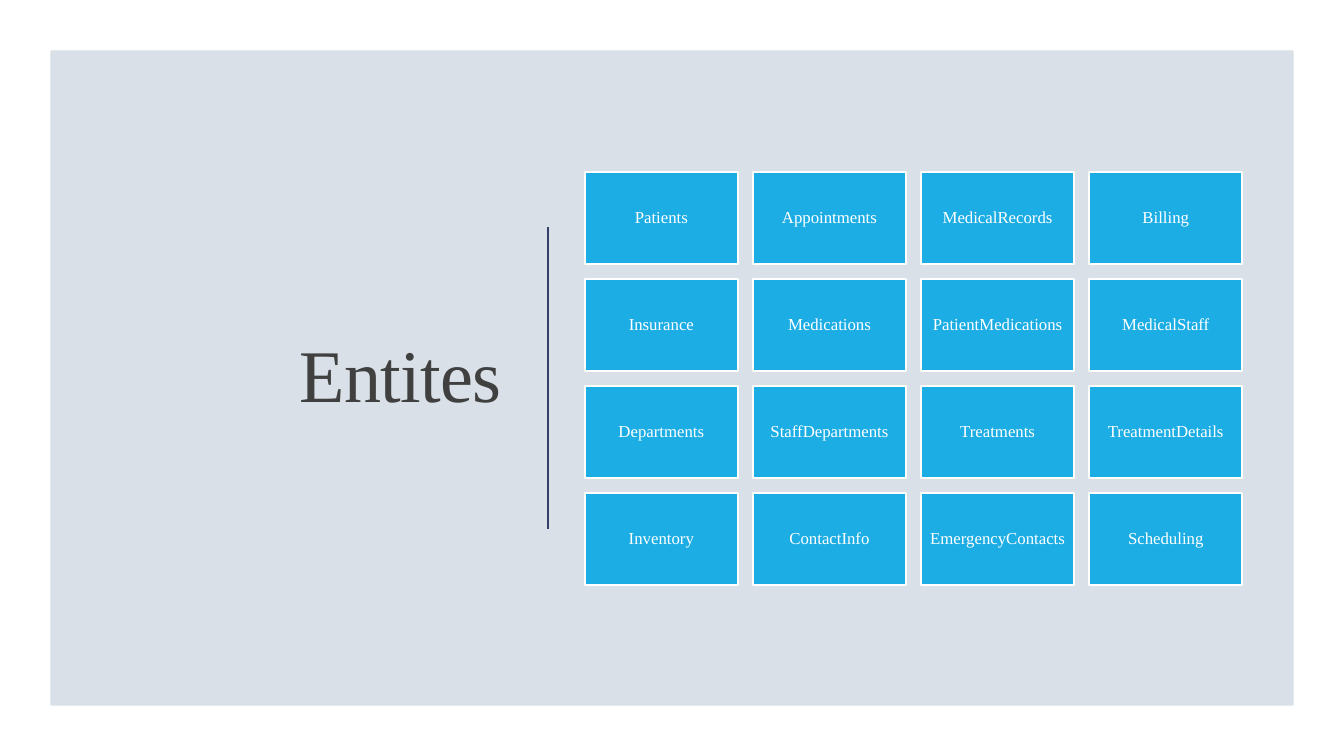
from itertools import product

from lxml.etree import SubElement
from pptx import Presentation
from pptx.dml.color import RGBColor
from pptx.enum.shapes import MSO_CONNECTOR as Connector, MSO_SHAPE as Shape
from pptx.enum.text import MSO_ANCHOR as Anchor, MSO_AUTO_SIZE as AutoSize, PP_ALIGN as Align
from pptx.oxml.ns import qn
from pptx.util import Pt

WIDTH, HEIGHT = 960, 540
ENTITIES = [
    ["Patients", "Appointments", "MedicalRecords", "Billing"],
    ["Insurance", "Medications", "PatientMedications", "MedicalStaff"],
    ["Departments", "StaffDepartments", "Treatments", "TreatmentDetails"],
    ["Inventory", "ContactInfo", "EmergencyContacts", "Scheduling"],
]


def paint(color_format, hex_color):
    color_format.rgb = RGBColor.from_string(hex_color)


class EntitySlide:
    font_name = "Times New Roman"
    white, mist, blue = "FFFFFF", "D9E0E7", "1CADE4"
    navy, charcoal = "344068", "404040"

    def __init__(self, slide):
        self.slide = slide
        self.shapes = slide.shapes
        self.fill(slide.background.fill, self.mist)

    def fill(self, fill_format, color):
        fill_format.solid()
        paint(fill_format.fore_color, color)

    def label(self, shape, text, size, color, align):
        frame = shape.text_frame
        frame.text = text
        frame.word_wrap = True
        frame.auto_size = AutoSize.NONE
        frame.vertical_anchor = Anchor.MIDDLE
        paragraph = frame.paragraphs[0]
        paragraph.alignment = align
        paragraph.line_spacing = 0.9
        paragraph.font.name = self.font_name
        paragraph.font.size = Pt(size)
        paint(paragraph.font.color, color)
        return paragraph

    def panel(self, left, top, width, height, color):
        panel = self.shapes.add_shape(Shape.RECTANGLE, Pt(left), Pt(top), Pt(width), Pt(height))
        panel.shadow.inherit = False
        self.fill(panel.fill, color)
        panel.line.fill.background()
        return panel

    def title(self, text, left, top, width, height):
        title = self.shapes.title
        title.left, title.top, title.width, title.height = map(Pt, (left, top, width, height))
        heading = self.label(title, text, 53, self.charcoal, Align.RIGHT)
        heading.runs[0].font._element.set("spc", "-50")
        # Bring the title in front of the panels
        self.shapes[-1].element.addnext(title.element)

    def divider(self, x, top, bottom):
        divider = self.shapes.add_connector(Connector.STRAIGHT, Pt(x), Pt(top), Pt(x), Pt(bottom))
        paint(divider.line.color, self.navy)
        divider.line.width = Pt(1.5)
        SubElement(divider.element.spPr, qn("a:effectLst"))

    def entity(self, name, left, top, width, height):
        box = self.panel(left, top, width, height, self.blue)
        paint(box.line.color, self.white)
        box.line.width = Pt(1.25)
        frame = box.text_frame
        frame.margin_left = frame.margin_right = Pt(3.6)
        frame.margin_top = frame.margin_bottom = Pt(3.6)
        self.label(box, name, 12, self.white, Align.CENTER)


def main():
    presentation = Presentation()
    presentation.slide_width, presentation.slide_height = Pt(WIDTH), Pt(HEIGHT)
    page = EntitySlide(presentation.slides.add_slide(presentation.slide_layouts[5]))

    # White frame around the tinted panel
    page.panel(0, 0, WIDTH, HEIGHT, page.white)
    page.panel(36, 36, WIDTH - 72, HEIGHT - 72, page.mist)

    # Title and dividing line
    page.title("Entites", 67.5, 75.6, 298, 388.8)
    page.divider(391.5, 162, 378)

    # Grid of entities
    for row, column in product(range(4), range(4)):
        page.entity(ENTITIES[row][column], 417.8 + 120.1 * column, 122.9 + 76.4 * row, 109.3, 65.6)

    presentation.save("out.pptx")


if __name__ == "__main__":
    main()
